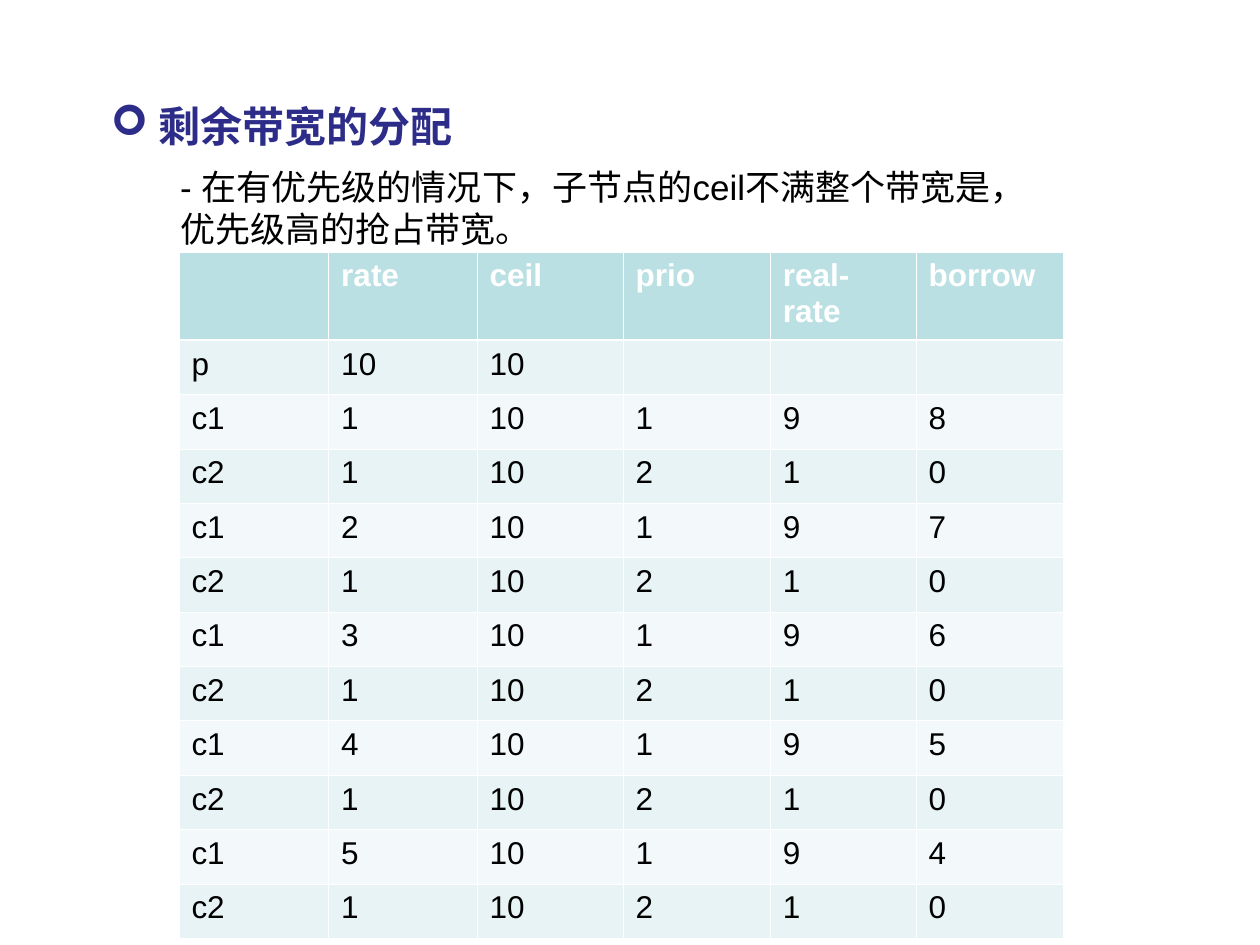
from lxml.etree import SubElement
from pptx import Presentation
from pptx.dml.color import RGBColor
from pptx.enum.text import MSO_ANCHOR, MSO_AUTO_SIZE, PP_ALIGN
from pptx.oxml.ns import qn
from pptx.util import Inches, Pt

NAVY = RGBColor(0x2D, 0x2D, 0x89)
BLACK = RGBColor(0x00, 0x00, 0x00)
WHITE = RGBColor(0xFF, 0xFF, 0xFF)
HEADER_TEAL = RGBColor(0xBB, 0xE0, 0xE3)
BANDS = (RGBColor(0xE7, 0xF3, 0xF4), RGBColor(0xF3, 0xF9, 0xFA))

FONT = "Arial"
THIN, THICK = Pt(0.45), Pt(1.47)
COLUMN_WIDTHS = (1.19, 1.18, 1.16, 1.17, 1.16, 1.17)
HEADER_HEIGHT = 0.7

HEADER = ("", "rate", "ceil", "prio", "real-rate", "borrow")
PARENT = ("p", "10", "10", "", "", "")
CHILD_ONE_RATES = range(1, 6)
CHILD_TWO = ("c2", "1", "10", "2", "1", "0")


def bandwidth_rows():
    """Return the header, the parent and one c1/c2 pair for each rate of c1."""
    rows = [HEADER, PARENT]
    for rate in CHILD_ONE_RATES:
        rows.append(("c1", str(rate), "10", "1", "9", str(9 - rate)))
        rows.append(CHILD_TWO)
    return rows


def add_span(para, text, size, color, bold=False):
    span = para.add_run()
    span.text = text
    span.font.name = FONT
    span.font.size = Pt(size)
    span.font.color.rgb = color
    span.font.bold = bold


def prepare_placeholder(holder, box):
    """Place a placeholder in its box and return its left-aligned paragraph."""
    holder.left, holder.top, holder.width, holder.height = map(Inches, box)
    frame = holder.text_frame
    frame.word_wrap = True
    frame.auto_size = MSO_AUTO_SIZE.NONE
    frame.vertical_anchor = MSO_ANCHOR.TOP
    para = frame.paragraphs[0]
    para.alignment = PP_ALIGN.LEFT
    para.space_before = Pt(0)
    return para


def set_indent(para, left, first):
    properties = para._p.get_or_add_pPr()
    properties.set("marL", str(Inches(left)))
    properties.set("indent", str(Inches(first)))
    return properties


def fill_title(holder, box):
    para = prepare_placeholder(holder, box)
    properties = set_indent(para, 0.38, -0.38)
    bullet_color = SubElement(properties, qn("a:buClr"))
    SubElement(bullet_color, qn("a:srgbClr"), val=str(NAVY))
    SubElement(properties, qn("a:buFont"), typeface="Wingdings")
    SubElement(properties, qn("a:buChar"), char="➢")
    add_span(para, "剩余带宽的分配", 24, NAVY, bold=True)


def fill_body(holder, box):
    para = prepare_placeholder(holder, box)
    SubElement(set_indent(para, 0, 0), qn("a:buNone"))
    add_span(para, "- 在有优先级的情况下，子节点的ceil不满整个带宽是，优先级高的抢占带宽。", 20, BLACK)


def set_borders(cell, top, bottom):
    properties = cell._tc.get_or_add_tcPr()
    for side, width in (("L", THIN), ("R", THIN), ("T", top), ("B", bottom)):
        line = SubElement(properties, qn(f"a:ln{side}"), w=str(int(width)))
        fill = SubElement(line, qn("a:solidFill"))
        SubElement(fill, qn("a:srgbClr"), val=str(WHITE))


def add_bandwidth_table(page, box):
    rows = bandwidth_rows()
    left, top, width, height = box
    table = page.shapes.add_table(len(rows), len(HEADER), *map(Inches, box)).table
    table.first_row = table.horz_banding = False
    for column, share in zip(table.columns, COLUMN_WIDTHS):
        column.width = Inches(width * share / sum(COLUMN_WIDTHS))
    body_height = (height - HEADER_HEIGHT) / (len(rows) - 1)
    for row_index, values in enumerate(rows):
        is_header = row_index == 0
        table.rows[row_index].height = Inches(HEADER_HEIGHT if is_header else body_height)
        fill = HEADER_TEAL if is_header else BANDS[(row_index - 1) % 2]
        for column_index, value in enumerate(values):
            cell = table.cell(row_index, column_index)
            set_borders(cell, THICK if row_index == 1 else THIN, THICK if is_header else THIN)
            cell.fill.solid()
            cell.fill.fore_color.rgb = fill
            if value:
                add_span(cell.text_frame.paragraphs[0], value, 18,
                         WHITE if is_header else BLACK, bold=is_header)


def main():
    deck = Presentation()
    deck.slide_width, deck.slide_height = Inches(10), Inches(7.5)
    page = deck.slides.add_slide(deck.slide_layouts[1])
    fill_title(page.shapes.title, (0.78, 0.75, 3.45, 0.5))
    fill_body(page.placeholders[1], (1.33, 1.26, 7.11, 0.77))
    add_bandwidth_table(page, (1.42, 2, 7.02, 5.45))
    deck.save("out.pptx")


if __name__ == "__main__":
    main()
